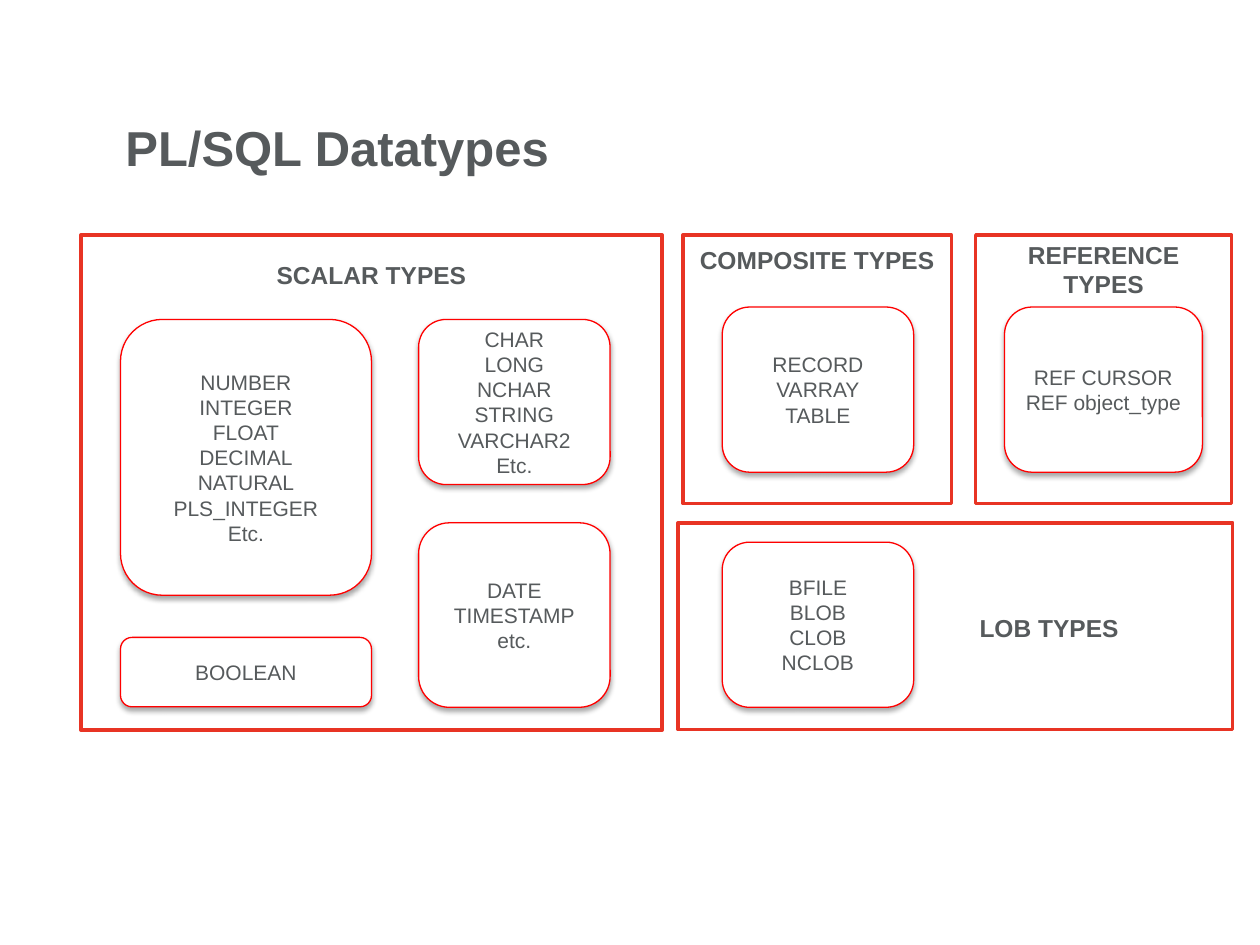
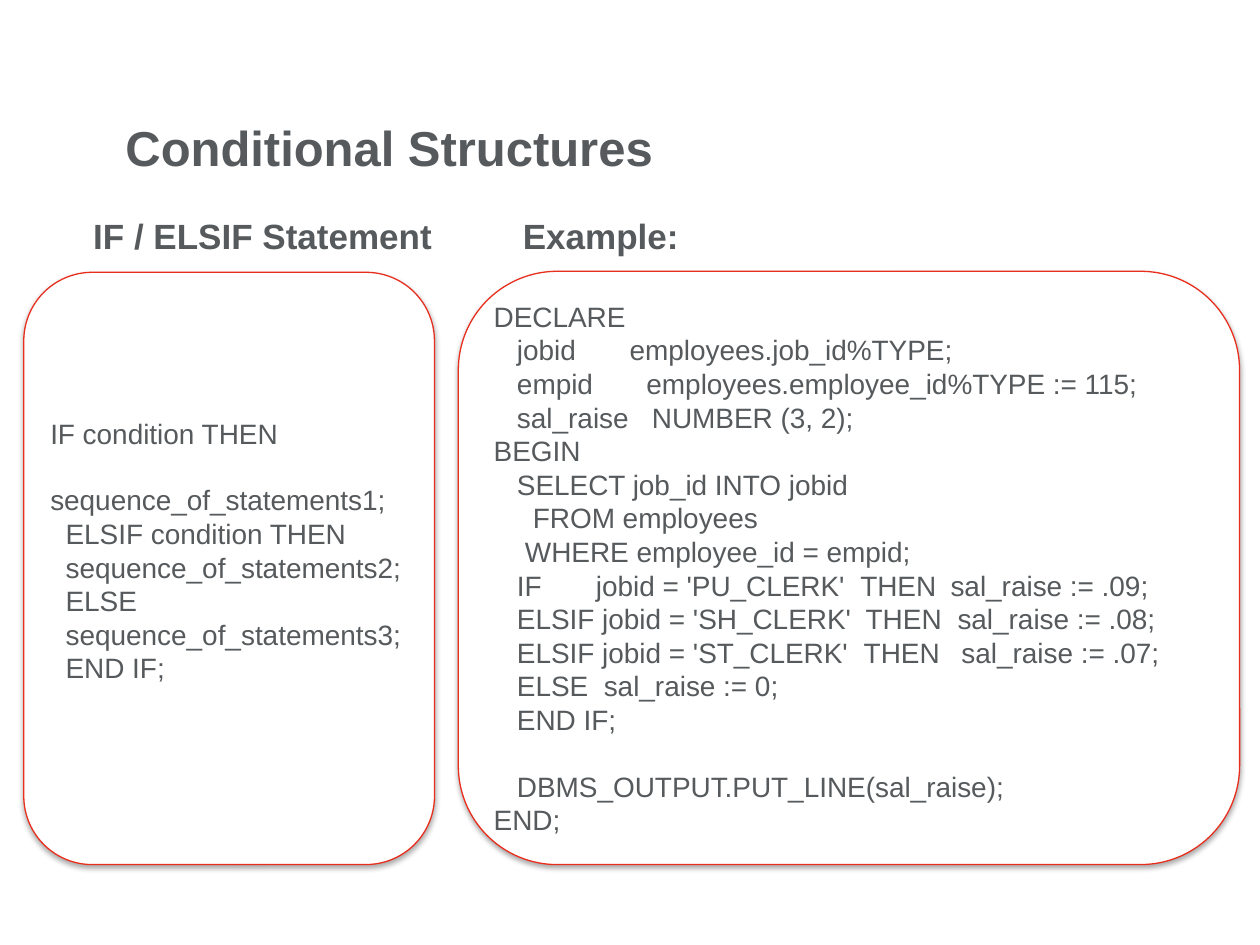
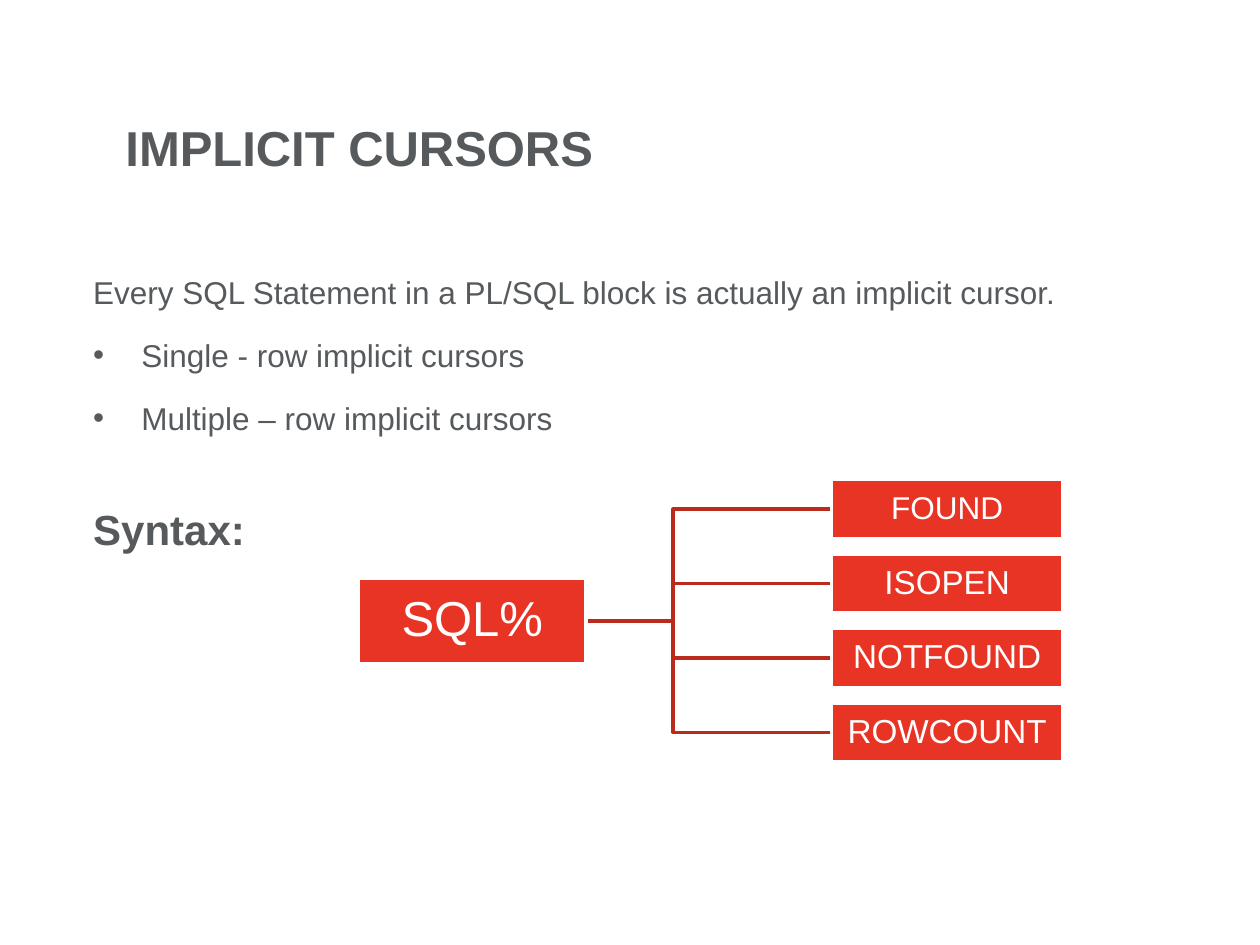
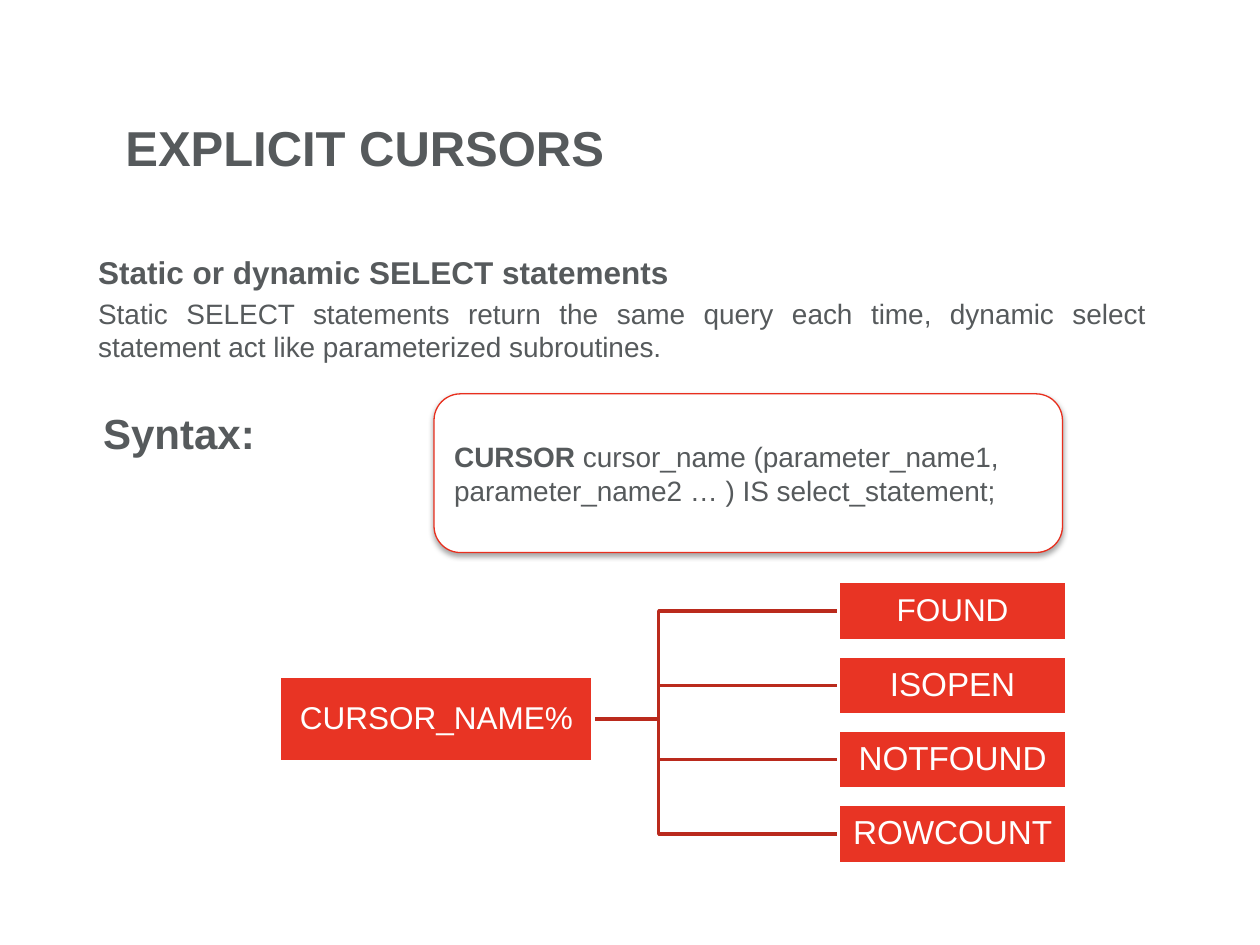
from dataclasses import dataclass

from lxml import etree
from pptx import Presentation
from pptx.dml.color import RGBColor
from pptx.enum.shapes import MSO_SHAPE
from pptx.enum.text import MSO_ANCHOR, PP_ALIGN
from pptx.oxml.ns import qn
from pptx.util import Cm, Pt

RECT, ROUND = MSO_SHAPE.RECTANGLE, MSO_SHAPE.ROUNDED_RECTANGLE
TOP, MID, LOW = MSO_ANCHOR.TOP, MSO_ANCHOR.MIDDLE, MSO_ANCHOR.BOTTOM
LEFT, MIDDLE, FULL = PP_ALIGN.LEFT, PP_ALIGN.CENTER, PP_ALIGN.JUSTIFY


@dataclass(frozen=True)
class Theme:
    font: str = "Arial"
    ink: str = "565A5C"
    white: str = "FFFFFF"
    red: str = "E83424"
    edge: str = "E82F1E"
    bright: str = "FF0000"
    dark: str = "BA2A1D"
    title: int = 28
    syntax: int = 24
    head: int = 20
    body: int = 18
    code: int = 16
    panel: int = 14
    card: int = 12
    thick: float = 2
    thin: float = 0.75


T = Theme()
TEXT_PAD = (0.1, 0, 0, 0)
CARD_PAD = (0.25, 0.13, 0.25, 0.13)
CODE_PAD = (0.13, 0.13, 0.13, 0.13)
NO_PAD = (0, 0, 0, 0)

PANELS = [
    ("LOB TYPES", (13.67, 10.54, 11.18, 4.17), MID, (4.03, 0.2, 0.25, 0.13)),
    ("REFERENCE TYPES", (19.67, 4.74, 5.16, 5.41), TOP, (0.25, 0.1, 0.25, 0.13)),
    ("COMPOSITE TYPES", (13.77, 4.74, 5.41, 5.41), TOP, (0.25, 0.2, 0.25, 0.13)),
    ("SCALAR TYPES", (1.63, 4.74, 11.72, 9.98), TOP, (0.25, 0.51, 0.25, 0.13)),
]
CARDS = [
    ("NUMBER INTEGER FLOAT DECIMAL NATURAL PLS_INTEGER Etc.".split(),
     (2.43, 6.44, 5.06, 5.56)),
    (["DATE", "TIMESTAMP", "etc."], (8.44, 10.54, 3.86, 3.72)),
    (["BOOLEAN"], (2.43, 12.85, 5.06, 1.4)),
    (["BFILE", "BLOB", "CLOB", "NCLOB"], (14.56, 10.93, 3.86, 3.33)),
    ("CHAR LONG NCHAR STRING VARCHAR2 Etc.".split(), (8.44, 6.44, 3.86, 3.33)),
    (["REF CURSOR", "REF object_type"], (20.25, 6.19, 3.99, 3.33)),
    (["RECORD", "VARRAY", "TABLE"], (14.56, 6.19, 3.86, 3.33)),
]
SYNTAX = [
    ("IF condition THEN",),
    ("sequence_of_statements1;",),
    ("\tELSIF condition THEN", 0.31),
    ("\tsequence_of_statements2;", 0.31),
    ("\tELSE", 0.31),
    ("\tsequence_of_statements3;", 0.31),
    ("\tEND IF;", 0.31),
]
SAMPLE = [
    ("DECLARE",),
    ("\tjobid\temployees.job_id%TYPE;", 0.47, 2.74),
    ("\tempid\temployees.employee_id%TYPE := 115;", 0.47, 3.08),
    ("\tsal_raise\tNUMBER (3, 2);", 0.47, 3.19),
    ("BEGIN",),
    ("\tSELECT job_id INTO jobid", 0.47),
    ("\tFROM employees", 0.79),
    ("\tWHERE employee_id = empid;", 0.63),
    ("\tIF\tjobid = 'PU_CLERK'\tTHEN\tsal_raise := .09;", 0.47, 2.06, 7.39, 9.21),
    ("\tELSIF jobid = 'SH_CLERK'\tTHEN\tsal_raise := .08;", 0.47, 7.5, 9.35),
    ("\tELSIF jobid = 'ST_CLERK'\tTHEN\tsal_raise := .07;", 0.47, 7.46, 9.43),
    ("\tELSE\tsal_raise := 0;", 0.47, 2.22),
    ("\tEND IF;", 0.47),
    ("\tDBMS_OUTPUT.PUT_LINE(sal_raise);", 0.47),
    ("END;",),
]
FLAGS = [("FOUND", 18), ("ISOPEN", 19), ("NOTFOUND", 19), ("ROWCOUNT", 19)]


def color(code):
    return RGBColor.from_string(code)


def apply(item, values):
    for name, value in values.items():
        setattr(item, name, value)


def setup(shape, anchor, pad):
    frame = shape.text_frame
    sides = ("margin_left", "margin_top", "margin_right", "margin_bottom")
    apply(frame, {"word_wrap": True, "vertical_anchor": anchor,
                  **{side: Cm(size) for side, size in zip(sides, pad)}})
    return frame


def write(frame, text, size, bold=False, tint=T.ink, **form):
    para = frame.paragraphs[0]
    if para.runs:
        para = frame.add_paragraph()
    apply(para, {"alignment": LEFT, **form})
    add_run(para, text, size, bold, tint)
    return para


def add_run(para, text, size, bold=False, tint=T.ink):
    run = para.add_run()
    run.text = text
    apply(run.font, {"name": T.font, "size": Pt(size), "bold": bold})
    run.font.color.rgb = color(tint)


def add_box(slide, kind, area, fill, line=None, width=0):
    shape = slide.shapes.add_shape(kind, *map(Cm, area))
    shape.shadow.inherit = False
    shape.fill.solid()
    shape.fill.fore_color.rgb = color(fill)
    if line:
        shape.line.color.rgb = color(line)
        shape.line.width = Pt(width)
    else:
        shape.line.fill.background()
    return shape


def add_shade(shape):
    effects = shape._element.spPr.find(qn("a:effectLst"))
    shade = etree.SubElement(effects, qn("a:outerShdw"), blurRad=str(Pt(3.1)),
                             dist=str(Pt(1.8)), dir="5400000", rotWithShape="0")
    tone = etree.SubElement(shade, qn("a:srgbClr"), val="000000")
    etree.SubElement(tone, qn("a:alpha"), val="35000")


def add_text(slide, area, anchor=MID):
    return setup(slide.shapes.add_textbox(*map(Cm, area)), anchor, NO_PAD)


def add_head(slide, text, area, size):
    shape = add_box(slide, RECT, area, T.white)
    write(setup(shape, MID, TEXT_PAD), text, size, True)


def add_title(slide, text):
    add_head(slide, text, (2.43, 2.13, 16.03, 1.65), T.title)


def add_label(slide, left, top):
    write(add_text(slide, (left, top, 4, 1.27)), "Syntax:", T.syntax, True)


def add_panel(slide, text, area, anchor, pad):
    shape = add_box(slide, RECT, area, T.white, T.red, T.thick)
    write(setup(shape, anchor, pad), text, T.panel, True, alignment=MIDDLE)


def add_card(slide, area, line=T.edge, pad=CARD_PAD):
    shape = add_box(slide, ROUND, area, T.white, line, T.thin)
    add_shade(shape)
    return setup(shape, MID, pad)


def add_code(slide, area, lines, gap, pad=CODE_PAD):
    frame = add_card(slide, area, pad=pad)
    for row, (text, *stops) in enumerate(lines):
        para = write(frame, text, T.code, space_before=Pt(19 if row == gap else 0))
        if stops:
            tabs = etree.SubElement(para._p.get_or_add_pPr(), qn("a:tabLst"))
            for stop in stops:
                etree.SubElement(tabs, qn("a:tab"), pos=str(Cm(stop)), algn="l")


def add_dot(para):
    props = para._p.get_or_add_pPr()
    props.set("marL", str(Cm(0.97)))
    props.set("indent", str(-Cm(0.97)))
    etree.SubElement(props, qn("a:buFont"), typeface=T.font)
    etree.SubElement(props, qn("a:buChar"), char="•")


def add_node(slide, text, area, size):
    shape = add_box(slide, RECT, area, T.red, T.white, T.thick)
    frame = setup(shape, MID, (0.03, 0.03, 0.03, 0.03))
    write(frame, text, size, tint=T.white, alignment=MIDDLE, line_spacing=0.9)


def add_link(slide, start, trunk, end):
    pen = slide.shapes.build_freeform(Cm(start[0]), Cm(start[1]))
    points = [(trunk, start[1]), (trunk, end[1]), end]
    pen.add_line_segments([(Cm(x), Cm(y)) for x, y in points], close=False)
    shape = pen.convert_to_shape()
    shape.shadow.inherit = False
    shape.fill.background()
    shape.line.color.rgb = color(T.dark)
    shape.line.width = Pt(T.thick)


def add_tree(slide, text, size, root, trunk, left, top, width):
    high, step = 1.19, 1.5
    start = (2 * trunk - left, root[1] + root[3] / 2)
    tops = [top + step * row for row in range(len(FLAGS))]
    for y in tops:
        add_link(slide, start, trunk, (left, y + high / 2))
    add_node(slide, text, root, size)
    for y, (flag, points) in zip(tops, FLAGS):
        add_node(slide, flag, (left, y, width, high), points)


def show_types(slide):
    for panel in PANELS:
        add_panel(slide, *panel)
    add_title(slide, "PL/SQL Datatypes")
    for names, area in CARDS:
        frame = add_card(slide, area, T.bright)
        for name in names:
            write(frame, name, T.card, alignment=MIDDLE)


def show_branch(slide):
    add_code(slide, (0.48, 5.49, 8.28, 11.94), SYNTAX, 1, (0.13, 0.13, 0.13, 0.86))
    add_code(slide, (9.24, 5.47, 15.75, 11.96), SAMPLE, 13)
    add_title(slide, "Conditional Structures")
    add_head(slide, "Example:", (10.44, 4.04, 7.54, 1.4), T.head)
    add_head(slide, "IF / ELSIF Statement", (1.78, 4.04, 7.54, 1.4), T.head)


def show_implicit(slide):
    add_title(slide, "IMPLICIT CURSORS")
    form = {"alignment": FULL, "line_spacing": 1.5, "space_before": Pt(3.6)}
    frame = add_text(slide, (1.88, 4.47, 21.74, 4.33), LOW)
    write(frame, "Every SQL Statement in a PL/SQL block is actually an implicit cursor.",
          T.body, **form)
    for text in ("Single - row implicit cursors", "Multiple – row implicit cursors"):
        add_dot(write(frame, text, T.body, **form))
    add_label(slide, 1.88, 10.02)
    add_tree(slide, "SQL%", T.title, (7.22, 11.65, 4.6, 1.73), 13.57, 16.76, 9.67, 4.67)


def show_explicit(slide):
    add_title(slide, "EXPLICIT CURSORS")
    frame = add_text(slide, (1.98, 4.47, 21.13, 2.86), LOW)
    write(frame, "Static or dynamic SELECT statements", T.body, True,
          alignment=FULL, line_spacing=1.5)
    write(frame, "Static SELECT statements return the same query each time, dynamic "
          "select statement act like parameterized subroutines.", T.code,
          alignment=FULL, space_before=Pt(3.2))
    para = write(add_card(slide, (8.75, 7.94, 12.67, 3.2)), "CURSOR ", T.code, True)
    add_run(para, "cursor_name (parameter_name1, parameter_name2 … ) IS "
            "select_statement;", T.code)
    add_tree(slide, "CURSOR_NAME%", T.body, (5.64, 13.63, 6.32, 1.73),
             13.28, 16.9, 11.72, 4.61)
    add_label(slide, 2.08, 8.08)


def main():
    deck = Presentation()
    apply(deck, {"slide_width": Cm(25.4), "slide_height": Cm(19.05)})
    for show in (show_types, show_branch, show_implicit, show_explicit):
        show(deck.slides.add_slide(deck.slide_layouts[6]))
    deck.save("out.pptx")


if __name__ == "__main__":
    main()
